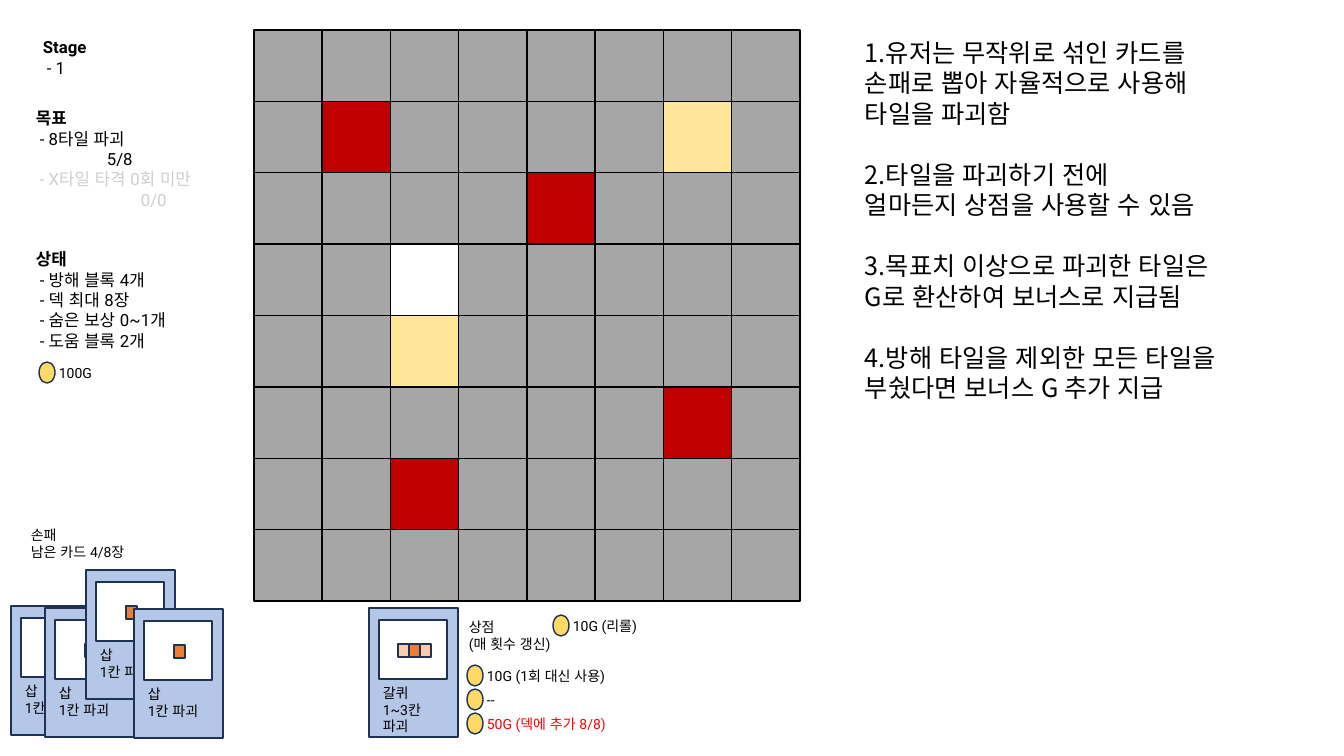
import pptx
import pptx.dml.color
import pptx.enum.shapes
import pptx.enum.text
import pptx.oxml.ns
import pptx.util

PX = 914400 / 100.8
COLORS = {
    "black": "000000", "white": "FFFFFF", "navy": "1E3256", "red": "FF0000",
    "muted": "D0CECE", "tile": "A6A6A6", "obstacle": "C00000", "helper": "FFE699",
    "card": "B4C7E7", "hit": "ED7D31", "side_hit": "F8CBAD", "coin": "FFD966",
}
LATIN, KOREAN = "Roboto", "Noto Sans CJK KR"
RECTANGLE = pptx.enum.shapes.MSO_SHAPE.RECTANGLE
OVAL = pptx.enum.shapes.MSO_SHAPE.OVAL

# O is an obstacle, H a helper, a space a destroyed tile
BOARD = [
    "........",
    ".O....H.",
    "....O...",
    ".. .....",
    "..H.....",
    "......O.",
    "..O.....",
    "........",
]
TILE_COLORS = {".": "tile", "O": "obstacle", "H": "helper"}

RULES = [
    ["1.유저는 무작위로 섞인 카드를 손패로 뽑아 자율적으로 사용해 타일을 파괴함"],
    ["2.타일을 파괴하기 전에", "얼마든지 상점을 사용할 수 있음"],
    ["3.목표치 이상으로 파괴한 타일은", "G로 환산하여 보너스로 지급됨"],
    ["4.방해 타일을 제외한 모든 타일을 부쉈다면 보너스 G 추가 지급"],
]


def px(length):
    return pptx.util.Emu(round(length * PX))


def rgb(name):
    return pptx.dml.color.RGBColor.from_string(COLORS[name])


def set_attributes(target, values):
    for name, value in values.items():
        setattr(target, name, value)


def add_block(slide, left, top, width, height, fill, line="navy", kind=RECTANGLE):
    shape = slide.shapes.add_shape(kind, px(left), px(top), px(width), px(height))
    shape.shadow.inherit = False
    shape.fill.solid()
    shape.fill.fore_color.rgb = rgb(fill)
    shape.line.color.rgb = rgb(line)
    shape.line.width = pptx.util.Pt(1)


def add_line(paragraph, text, size, font=LATIN, color="black", bold=False, indent=0, before=0):
    """Fill one paragraph; indent is in px, before in points."""
    set_attributes(paragraph, {
        "line_spacing": pptx.util.Pt(size * 1.21),
        "space_before": pptx.util.Pt(before),
    })
    if indent:
        paragraph._p.get_or_add_pPr().set("marL", str(px(indent)))
    run = paragraph.add_run()
    run.text = text
    set_attributes(run.font, {"name": font, "size": pptx.util.Pt(size), "bold": bold})
    run.font.color.rgb = rgb(color)
    properties = run._r.get_or_add_rPr()
    properties.set("lang", "ko-KR")
    east_asian = properties.makeelement(pptx.oxml.ns.qn("a:ea"), {"typeface": KOREAN})
    properties.append(east_asian)


def add_text(slide, left, top, width, height, lines, size=10, **shared):
    """Lines are strings or (string, format) pairs."""
    box = slide.shapes.add_textbox(px(left), px(top), px(width), px(height))
    frame = box.text_frame
    set_attributes(frame, {
        "word_wrap": True,
        "auto_size": pptx.enum.text.MSO_AUTO_SIZE.SHAPE_TO_FIT_TEXT,
    })
    for index, line in enumerate(lines):
        text, values = (line, {}) if isinstance(line, str) else line
        paragraph = frame.add_paragraph() if index else frame.paragraphs[0]
        add_line(paragraph, text, size, **{**shared, **values})


def add_board(slide, left, top, width, height):
    tile_height = height / len(BOARD)
    for row, tiles in enumerate(BOARD):
        tile_width = width / len(tiles)
        for column, tile in enumerate(tiles):
            if tile in TILE_COLORS:
                add_block(slide, left + column * tile_width, top + row * tile_height,
                          tile_width, tile_height, TILE_COLORS[tile], "black")


def add_rules(slide, left, top, width, height):
    lines = []
    for rule in RULES:
        gap = 18 * 1.21 if lines else 0
        lines.append((rule[0], {"before": gap}))
        lines.extend(rule[1:])
    add_text(slide, left, top, width, height, lines, size=18, font=KOREAN)


def add_card(slide, left, top, name, effect, hits):
    """Hits are (offset, colour) pairs inside the card window."""
    add_block(slide, left, top, 89, 129, "card")
    add_block(slide, left + 10, top + 12, 68, 59, "white")
    for offset, color in hits:
        add_block(slide, left + offset, top + 36, 11, 13, color)
    add_text(slide, left + 4, top + 71, 78, 44, [name, effect])


def add_price(slide, left, top, width, text, color="black"):
    add_block(slide, left, top, 16, 21, "coin", kind=OVAL)
    add_text(slide, left + 10, top - 3, width, 27, [text], color=color)


def add_status(slide, left, top):
    """Stage, goal, state and gold, one below the other."""
    heading = {"bold": True}
    item = {"indent": 4}
    add_text(slide, left + 7, top, 178, 50,
             [("Stage", heading), ("- 1", item)], size=12)
    add_text(slide, left, top + 71, 205, 112, [
        ("목표", heading),
        ("- 8타일 파괴", item),
        ("5/8", {"indent": 71}),
        ("- X타일 타격 0회 미만", {"indent": 4, "color": "muted"}),
        ("0/0", {"indent": 105, "color": "muted"}),
    ], size=12)
    states = ["방해 블록 4개", "덱 최대 8장", "숨은 보상 0~1개", "도움 블록 2개"]
    add_text(slide, left, top + 212, 178, 112,
             [("상태", heading)] + [("- " + state, item) for state in states], size=12)
    add_price(slide, left + 13, top + 330, 89, "100G")


def add_hand(slide, left, top):
    add_text(slide, left + 10, top, 142, 44, ["손패", "남은 카드 4/8장"])
    hit = [(40, "hit")]
    for x, y, hits in [(0, 85, []), (34, 87, hit), (75, 49, hit), (123, 88, hit)]:
        add_card(slide, left + x, top + y, "삽", "1칸 파괴", hits)


def add_shop(slide, left, top):
    add_card(slide, left, top, "갈퀴", "1~3칸 파괴",
             [(40, "hit"), (29, "side_hit"), (51, "side_hit")])
    add_text(slide, left + 90, top + 5, 178, 44, ["상점", "(매 횟수 갱신)"])
    add_price(slide, left + 184, top + 7, 89, "10G (리롤)")
    offers = [("10G (1회 대신 사용)", "black"), ("--", "black"), ("50G (덱에 추가 8/8)", "red")]
    for index, (text, color) in enumerate(offers):
        add_price(slide, left + 98, top + 57 + 24 * index, 178, text, color)


def main():
    presentation = pptx.Presentation()
    set_attributes(presentation, {"slide_width": px(1344), "slide_height": px(756)})
    slide = presentation.slides.add_slide(presentation.slide_layouts[6])
    add_board(slide, 254, 30, 546, 571)
    add_rules(slide, 855, 32, 401, 377)
    add_hand(slide, 11, 521)
    add_shop(slide, 369, 608)
    add_status(slide, 26, 32)
    presentation.save("out.pptx")


if __name__ == "__main__":
    main()
